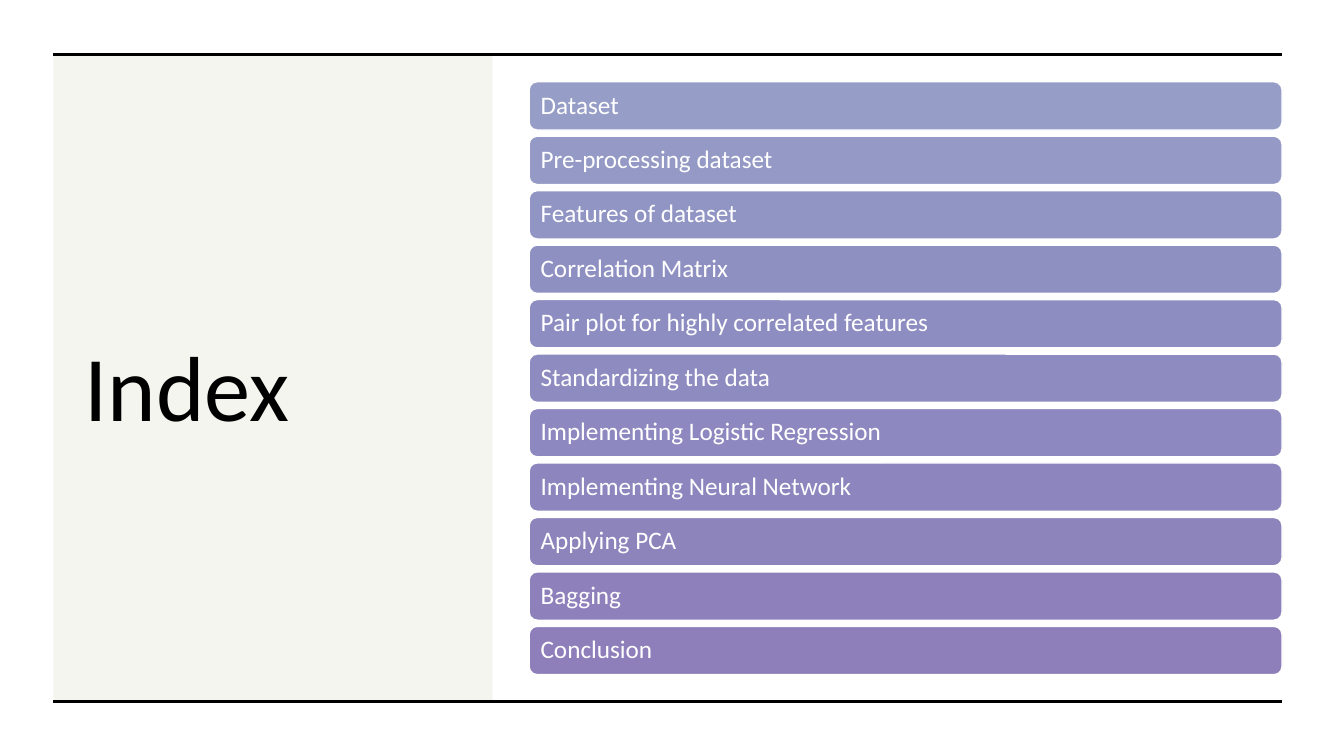
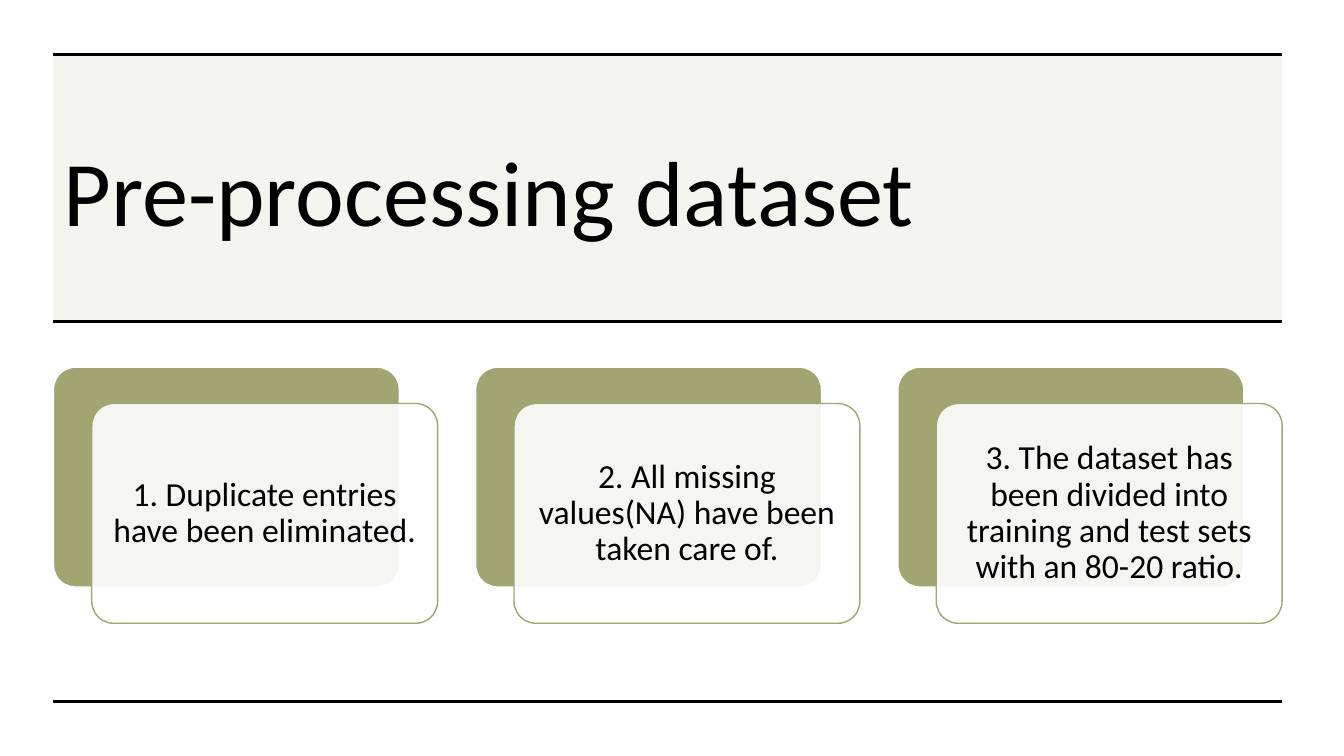
import lxml.etree
import pptx
import pptx.dml.color
import pptx.enum.shapes
import pptx.enum.text
import pptx.oxml.ns
import pptx.util

Pt = pptx.util.Pt
SHAPE = pptx.enum.shapes.MSO_SHAPE
ALIGN = pptx.enum.text.PP_ALIGN
MIDDLE = pptx.enum.text.MSO_ANCHOR.MIDDLE

FONT = "Calibri"
BLACK, WHITE, OLIVE = "000000", "FFFFFF", "A1A571"
LEFT, RIGHT, TOP, BOTTOM = 38.2, 915.8, 38.9, 501.1

INDEX_TITLE = "Index"
INDEX_ENTRIES = [
    ("Dataset", "969DC6"),
    ("Pre-processing dataset", "9499C5"),
    ("Features of dataset", "9195C4"),
    ("Correlation Matrix", "8F90C2"),
    ("Pair plot for highly correlated features", "8E8DC1"),
    ("Standardizing the data", "8D8BC0"),
    ("Implementing Logistic Regression", "8D88BF"),
    ("Implementing Neural Network", "8D86BE"),
    ("Applying PCA", "8E84BC"),
    ("Bagging", "8E81BB"),
    ("Conclusion", "8E7FBA"),
]
STEPS_TITLE = "Pre-processing dataset"
STEPS = [
    "1. Duplicate entries have been eliminated.",
    "2. All missing values(NA) have been taken care of.",
    "3. The dataset has been divided into training and test sets with an 80-20 ratio.",
]


def rgb(value):
    return pptx.dml.color.RGBColor.from_string(value)


def write_text(shape, text, size, color, align=ALIGN.LEFT, spacing=1.0, insets=(7.2, 3.6)):
    """Set one paragraph; insets are (sides, top and bottom)."""
    frame = shape.text_frame
    frame.word_wrap = True
    frame.auto_size = pptx.enum.text.MSO_AUTO_SIZE.NONE
    frame.vertical_anchor = MIDDLE
    frame.margin_left = frame.margin_right = Pt(insets[0])
    frame.margin_top = frame.margin_bottom = Pt(insets[1])
    para = frame.paragraphs[0]
    para.alignment = align
    para.line_spacing = spacing
    span = para.add_run()
    span.text = text
    span.font.name = FONT
    span.font.size = Pt(size)
    span.font.color.rgb = rgb(color)


def add_box(page, kind, left, top, width, height, fill, line=None, opacity=100, corner=None):
    box = page.shapes.add_shape(kind, Pt(left), Pt(top), Pt(width), Pt(height))
    box.shadow.inherit = False
    box.fill.solid()
    box.fill.fore_color.rgb = rgb(fill)
    if opacity < 100:
        color = box.element.spPr.find(".//" + pptx.oxml.ns.qn("a:srgbClr"))
        lxml.etree.SubElement(color, pptx.oxml.ns.qn("a:alpha"), val=str(opacity * 1000))
    if line:
        box.line.color.rgb = rgb(line)
        box.line.width = Pt(1)
    else:
        box.line.fill.background()
    if corner is not None:
        box.adjustments[0] = corner
    return box


def add_rule(page, y):
    rule = page.shapes.add_connector(
        pptx.enum.shapes.MSO_CONNECTOR.STRAIGHT, Pt(LEFT), Pt(y), Pt(RIGHT), Pt(y))
    rule.line.color.rgb = rgb(BLACK)
    rule.line.width = Pt(2.25)
    lxml.etree.SubElement(rule.element.spPr, pptx.oxml.ns.qn("a:effectLst"))


def add_page(deck, title_text, title_area, band_right, band_bottom, rules):
    """Add a slide with its tinted title band, title and full-width rules."""
    page = deck.slides.add_slide(deck.slide_layouts[5])
    add_box(page, SHAPE.RECTANGLE, LEFT, TOP, band_right - LEFT, band_bottom - TOP,
            OLIVE, opacity=10)
    title = page.shapes.title
    title.left, title.top, title.width, title.height = map(Pt, title_area)
    write_text(title, title_text, 66, BLACK)
    title.element.getparent().append(title.element)  # bring in front of the band
    for y in rules:
        add_rule(page, y)
    return page


def build_index(deck):
    page = add_page(deck, INDEX_TITLE, (53.3, 77, 280, 396), 352, BOTTOM, (TOP, BOTTOM))
    left, top, height, pitch = 378, 58.4, 34.5, 38.9
    for row, (entry, color) in enumerate(INDEX_ENTRIES):
        bar = add_box(page, SHAPE.ROUNDED_RECTANGLE, left, top + row * pitch,
                      RIGHT - left, height, color, line=WHITE)
        write_text(bar, entry, 18, WHITE, spacing=0.9, insets=(6.5, 0))


def build_steps(deck):
    divider = 229.9
    page = add_page(deck, STEPS_TITLE, (LEFT, 77, 816, 117.4), RIGHT, divider,
                    (TOP, divider, BOTTOM))
    top, width, height, shift_x, shift_y = 262.3, 247, 157, 27.4, 25.9
    pitch = (RIGHT - LEFT - width - shift_x) / (len(STEPS) - 1)
    for column, step in enumerate(STEPS):
        left = LEFT + column * pitch
        add_box(page, SHAPE.ROUNDED_RECTANGLE, left, top, width, height,
                OLIVE, line=WHITE, corner=0.1)
        card = add_box(page, SHAPE.ROUNDED_RECTANGLE, left + shift_x, top + shift_y,
                       width, height, WHITE, line=OLIVE, opacity=90, corner=0.1)
        write_text(card, step, 24, BLACK, align=ALIGN.CENTER, spacing=0.9, insets=(7, 7))


def main():
    deck = pptx.Presentation()
    deck.slide_width, deck.slide_height = Pt(960), Pt(540)
    build_index(deck)
    build_steps(deck)
    deck.save("out.pptx")


if __name__ == "__main__":
    main()
